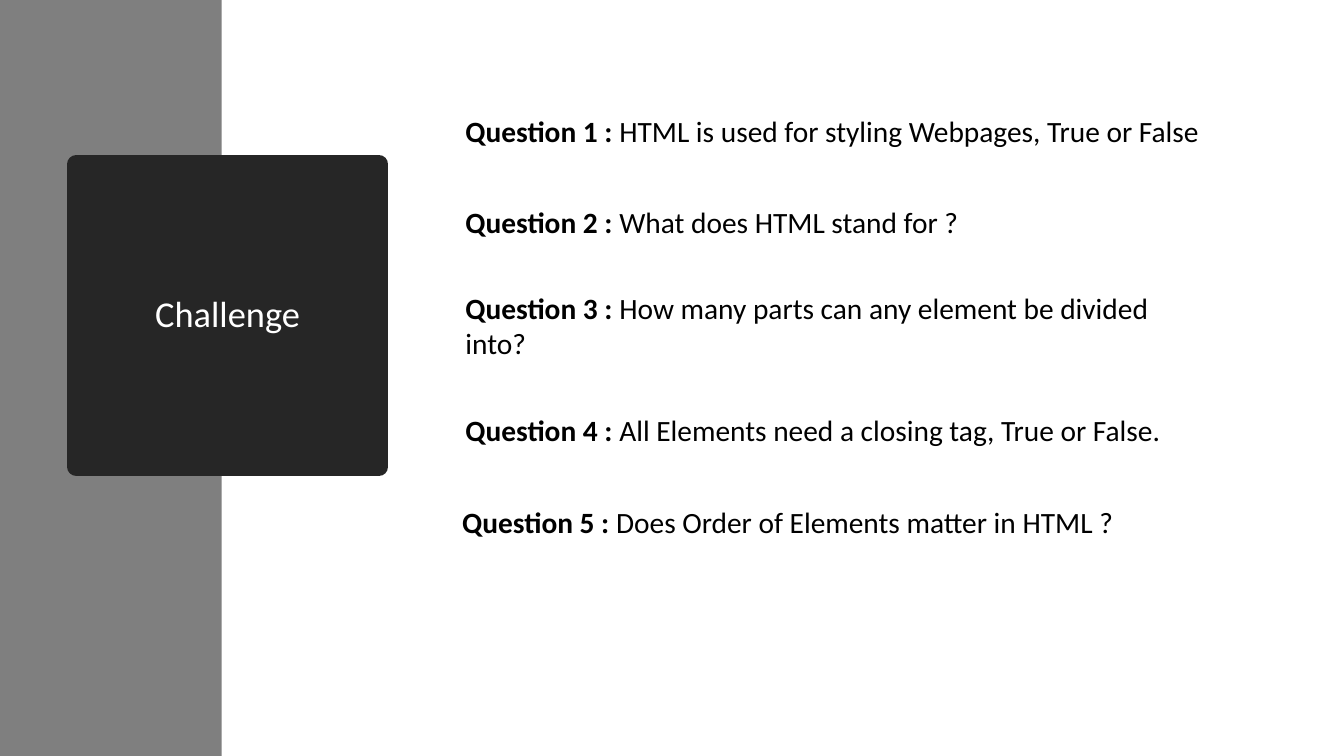
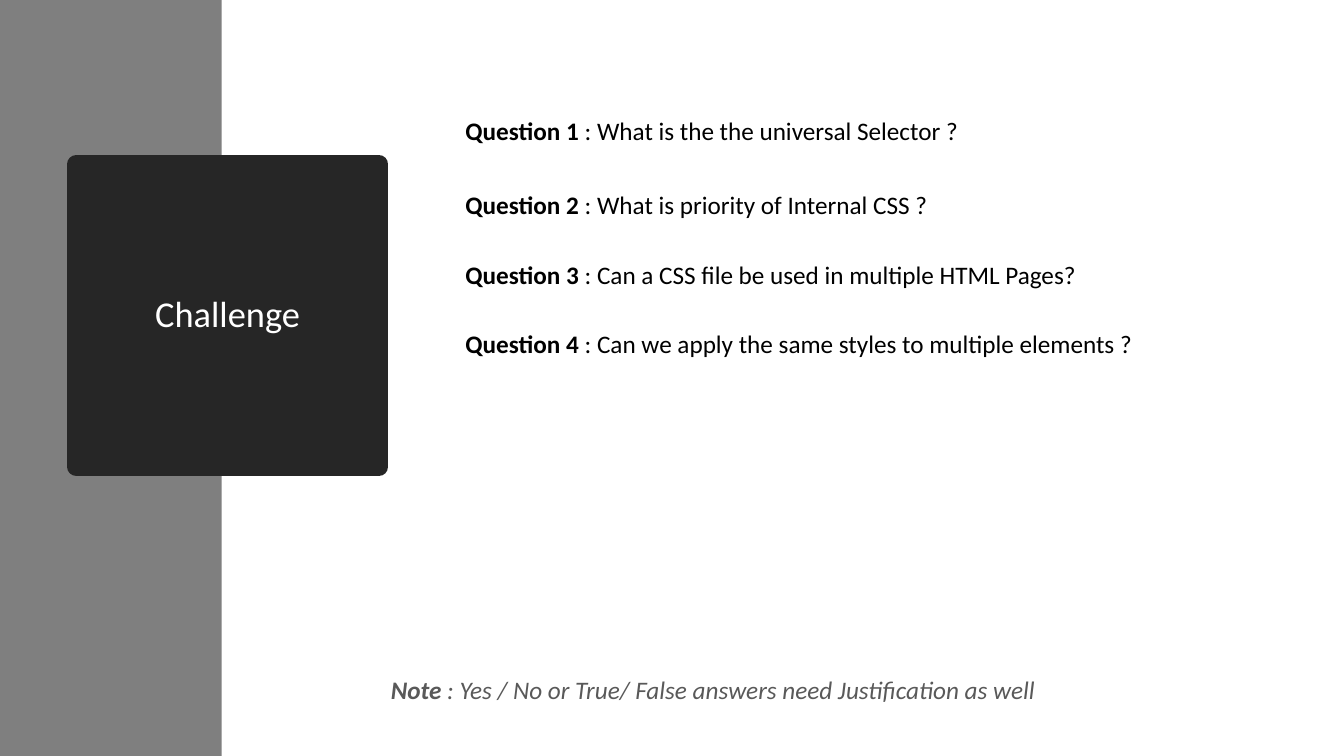
from pptx import Presentation
from pptx.dml.color import RGBColor as RGB
from pptx.enum.shapes import MSO_SHAPE as Kind
from pptx.enum.text import MSO_ANCHOR as Anchor, MSO_AUTO_SIZE as Fit, PP_ALIGN as Align
from pptx.oxml.ns import qn
from pptx.util import Cm, Pt
from lxml import etree

# Content: (left, top, bold lead, rest)
LEFT = 11.48
HTML = [
    (LEFT, 2.72, "Question 1 : ", "HTML is used for styling Webpages, True or False"),
    (LEFT, 5.03, "Question 2 : ", "What does HTML stand for ?"),
    (LEFT, 7.19, "Question 3 : ", "How many parts can any element be divided into?"),
    (LEFT, 10.26, "Question 4 : ", "All Elements need a closing tag, True or False."),
    (11.4, 12.57, "Question 5 : ", "Does Order of Elements matter in HTML ?"),
]
CSS = [
    (LEFT, 2.79, "Question 1", " : What is the the universal Selector ?"),
    (LEFT, 4.65, "Question 2", " : What is priority of Internal CSS ?"),
    (LEFT, 6.4, "Question 3", " : Can a CSS file be used in multiple HTML Pages?"),
    (LEFT, 8.15, "Question 4", " : Can we apply the same styles to multiple elements ?"),
]
NOTE = (9.6, 16.87, "Note", " : Yes / No or True/ False answers need Justification as well")

# Shared style
FONT = "Calibri"
WIDE, HIGH = 33.87, 19.05
BAND, DARK, WHITE, BLACK, GREY = "7F7F7F", "262626", "FFFFFF", "000000", "595959"


def color(code):
    return RGB.from_string(code)


def add_run(para, text, size, hue, bold=False, slant=False):
    run = para.add_run()
    run.text = text
    font = run.font
    font.name, font.size = FONT, Pt(size)
    font.bold, font.italic = bold, slant
    font.color.rgb = color(hue)


def add_box(slide, left, top, wide, high, fill):
    box = slide.shapes.add_shape(Kind.RECTANGLE, Cm(left), Cm(top), Cm(wide), Cm(high))
    box.shadow.inherit = False
    box.fill.solid()
    box.fill.fore_color.rgb = color(fill)
    box.line.fill.background()
    return box


def add_base(deck, title):
    slide = deck.slides.add_slide(deck.slide_layouts[6])
    add_box(slide, 0, 0, 5.59, HIGH, BAND)
    # Title tile: the thick round-joined line softens its corners
    tile = add_box(slide, 1.93, 4.14, 7.62, 7.62, DARK)
    tile.line.color.rgb = color(DARK)
    tile.line.width = Pt(13.75)
    etree.SubElement(tile.element.spPr.find(qn("a:ln")), qn("a:round"))
    frame = tile.text_frame
    frame.word_wrap = True
    frame.vertical_anchor = Anchor.MIDDLE
    para = frame.paragraphs[0]
    para.alignment = Align.CENTER
    para.line_spacing = 0.9
    add_run(para, title, 26, WHITE)
    return slide


def add_line(slide, item, size, hue=BLACK, slant=False):
    left, top, lead, rest = item
    box = slide.shapes.add_textbox(Cm(left), Cm(top), Cm(19.35), Cm(size * 0.055))
    frame = box.text_frame
    frame.word_wrap = True
    frame.auto_size = Fit.SHAPE_TO_FIT_TEXT
    para = frame.paragraphs[0]
    add_run(para, lead, size, hue, True, slant)
    add_run(para, rest, size, hue, False, slant)


def main():
    deck = Presentation()
    deck.slide_width, deck.slide_height = Cm(WIDE), Cm(HIGH)
    for items, size in ((HTML, 21), (CSS, 18)):
        slide = add_base(deck, "Challenge")
        for item in items:
            add_line(slide, item, size)
    # Closing note on the last slide
    add_line(slide, NOTE, 18, GREY, True)
    deck.save("out.pptx")


if __name__ == "__main__":
    main()
